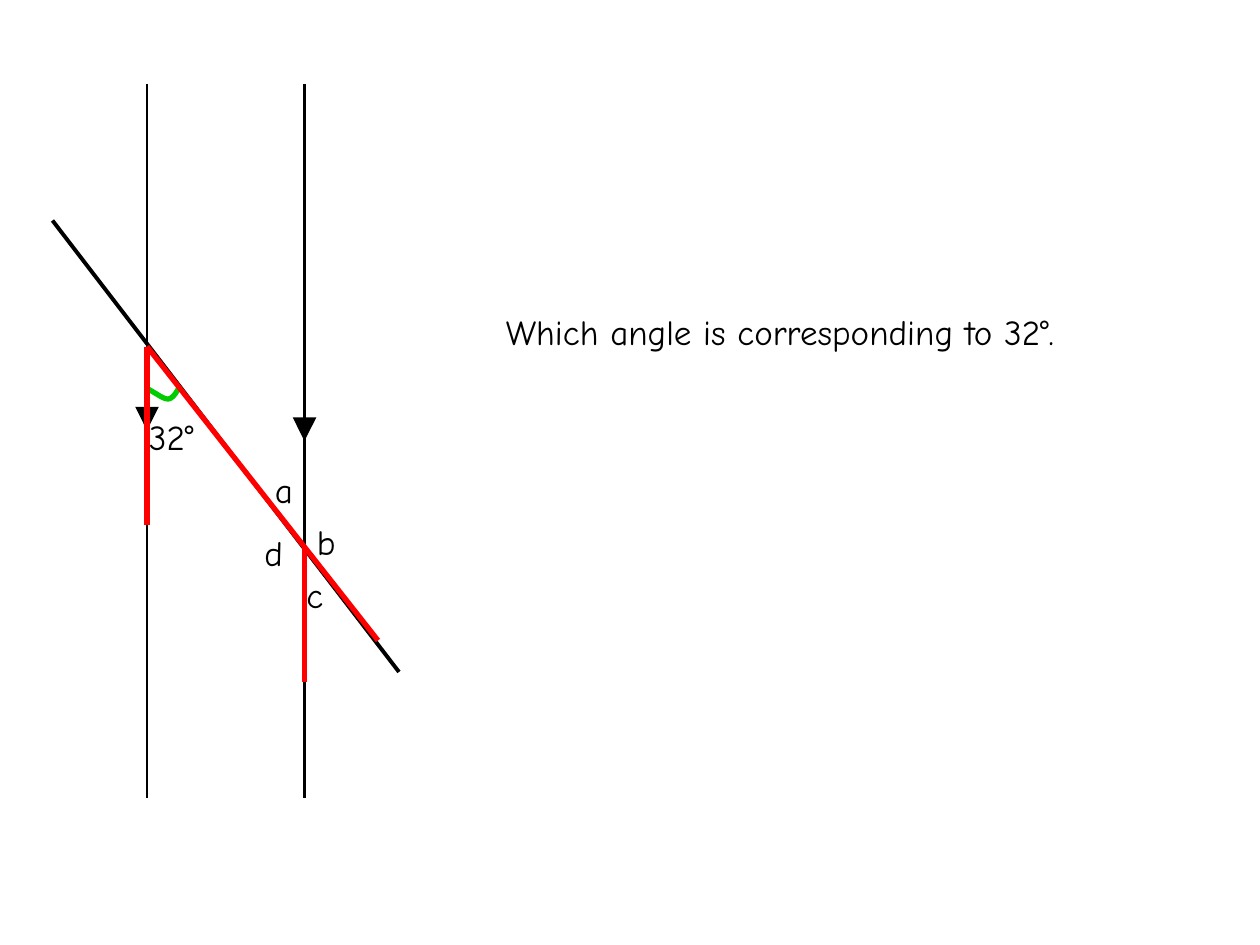
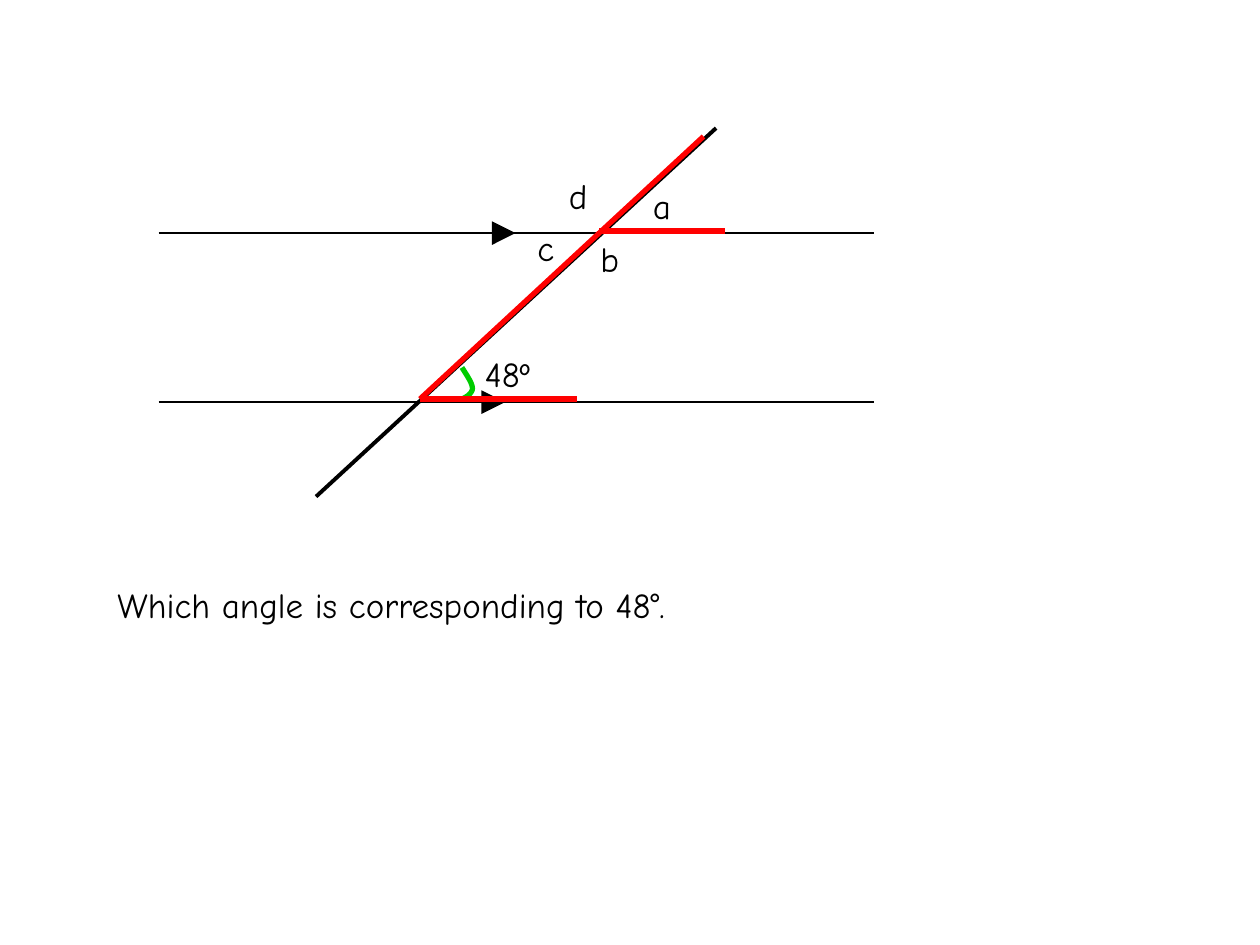
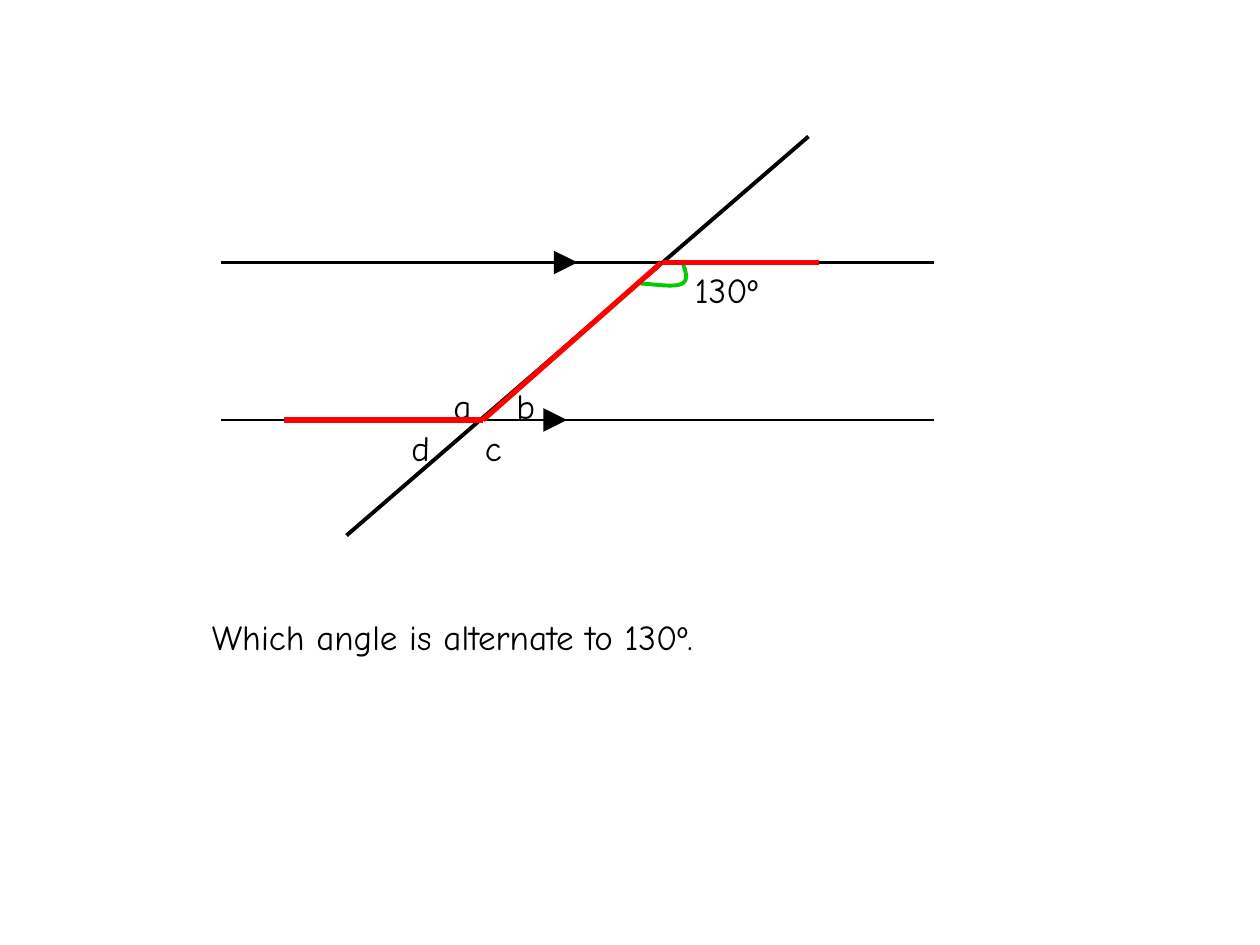
import pptx
import pptx.dml.color
import pptx.enum.shapes
import pptx.enum.text
import pptx.oxml.ns
import pptx.util
from lxml import etree

PX = 7620  # EMU per px, 120 px to the inch
BLACK = pptx.dml.color.RGBColor(0x00, 0x00, 0x00)
WHITE = pptx.dml.color.RGBColor(0xFF, 0xFF, 0xFF)
RED = pptx.dml.color.RGBColor(0xFF, 0x00, 0x00)
GREEN = pptx.dml.color.RGBColor(0x00, 0xCC, 0x00)
FONT = "Comic Neue"
TEXT_SIZE = 20
TEXT_HEIGHT = 53
ARROW_LENGTH = 20
CURVE_STEPS = 12

# Each parallel is (position across, start of its arrow); texts are (wording, left, top, width)
DIAGRAMS = [
    {
        "vertical": True,
        "span": (80, 760),
        "parallels": [(290, 400), (140, 390)],
        "transversal": ((50, 210), (380, 640)),
        "arc": [(140, 370), (148, 374), (155, 380), (160, 380), (164, 380), (168, 374), (170, 370)],
        "arc_width": 3,
        "arc_fill": WHITE,
        "texts": [
            ("32°", 130, 390, 90),
            ("a", 250, 440, 60),
            ("b", 290, 490, 70),
            ("c", 280, 540, 60),
            ("d", 240, 500, 70),
            ("Which angle is corresponding to 32°.", 470, 290, 600),
        ],
        "highlights": [((140, 330), (360, 610)), ((140, 330), (140, 500)), ((290, 520), (290, 650))],
    },
    {
        "vertical": False,
        "span": (151, 832),
        "parallels": [(383, 461), (222, 471)],
        "transversal": ((301, 473), (682, 122)),
        "arc": [(440, 350), (445, 358), (450, 365), (450, 370), (450, 374), (445, 378), (440, 380)],
        "arc_width": 3,
        "arc_fill": None,
        "texts": [
            ("48º", 450, 330, 80),
            ("a", 610, 170, 80),
            ("b", 560, 220, 90),
            ("c", 500, 210, 90),
            ("d", 530, 160, 70),
            ("Which angle is corresponding to 48°.", 100, 550, 810),
        ],
        "highlights": [((670, 130), (400, 380)), ((550, 380), (400, 380)), ((690, 220), (570, 220))],
    },
    {
        "vertical": False,
        "span": (210, 890),
        "parallels": [(250, 530), (400, 520)],
        "transversal": ((330, 510), (770, 130)),
        "arc": [(610, 270), (626, 271), (643, 274), (650, 270), (656, 266), (653, 258), (650, 250)],
        "arc_width": 2.25,
        "arc_fill": None,
        "texts": [
            ("130º", 650, 250, 110),
            ("a", 420, 360, 50),
            ("b", 480, 360, 70),
            ("c", 450, 400, 80),
            ("d", 380, 400, 70),
            ("Which angle is alternate to 130º.", 190, 580, 650),
        ],
        "highlights": [((780, 250), (630, 250)), ((630, 250), (460, 400)), ((270, 400), (460, 400))],
    },
]


def add_line(slide, start, end, color, width, arrow=False):
    connector = slide.shapes.add_connector(
        pptx.enum.shapes.MSO_CONNECTOR.STRAIGHT, *(value * PX for value in (*start, *end))
    )
    connector.line.color.rgb = color
    connector.line.width = pptx.util.Pt(width)
    if arrow:
        line_element = connector.line._get_or_add_ln()
        etree.SubElement(line_element, pptx.oxml.ns.qn("a:tailEnd"), type="triangle")
    etree.SubElement(connector._element.spPr, pptx.oxml.ns.qn("a:effectLst"))


def add_parallels(slide, diagram):
    def point(along, across):
        return (across, along) if diagram["vertical"] else (along, across)

    first, last = diagram["span"]
    for across, _ in diagram["parallels"]:
        add_line(slide, point(first, across), point(last, across), BLACK, 1.5)
    for across, along in diagram["parallels"]:
        add_line(slide, point(along, across), point(along + ARROW_LENGTH, across), BLACK, 4.5, arrow=True)


def curve_points(controls):
    """Points along a chain of cubic curves, in EMU."""
    points = []
    for first in range(0, len(controls) - 1, 3):
        corners = controls[first:first + 4]
        for step in range(1, CURVE_STEPS + 1):
            t = step / CURVE_STEPS
            weights = ((1 - t) ** 3, 3 * t * (1 - t) ** 2, 3 * t ** 2 * (1 - t), t ** 3)
            points.append(tuple(
                round(PX * sum(weight * corner[axis] for weight, corner in zip(weights, corners)))
                for axis in (0, 1)
            ))
    return points


def add_arc(slide, controls, width, fill):
    start_x, start_y = controls[0]
    builder = slide.shapes.build_freeform(start_x * PX, start_y * PX)
    builder.add_line_segments(curve_points(controls), close=False)
    shape = builder.convert_to_shape()
    shape.shadow.inherit = False
    if fill is None:
        shape.fill.background()
    else:
        shape.fill.solid()
        shape.fill.fore_color.rgb = fill
    shape.line.color.rgb = GREEN
    shape.line.width = pptx.util.Pt(width)


def add_text(slide, wording, left, top, width):
    box = slide.shapes.add_textbox(left * PX, top * PX, width * PX, TEXT_HEIGHT * PX)
    text_frame = box.text_frame
    text_frame.word_wrap = True
    text_frame.auto_size = pptx.enum.text.MSO_AUTO_SIZE.SHAPE_TO_FIT_TEXT
    text_frame.text = wording
    font = text_frame.paragraphs[0].runs[0].font
    font.name = FONT
    font.size = pptx.util.Pt(TEXT_SIZE)
    font.color.rgb = BLACK


def main():
    presentation = pptx.Presentation()
    presentation.slide_width = 1200 * PX
    presentation.slide_height = 900 * PX
    for diagram in DIAGRAMS:
        slide = presentation.slides.add_slide(presentation.slide_layouts[6])
        add_parallels(slide, diagram)
        add_line(slide, *diagram["transversal"], BLACK, 2.25)
        add_arc(slide, diagram["arc"], diagram["arc_width"], diagram["arc_fill"])
        for text in diagram["texts"]:
            add_text(slide, *text)
        for start, end in diagram["highlights"]:
            add_line(slide, start, end, RED, 3)
    presentation.save("out.pptx")


if __name__ == "__main__":
    main()
